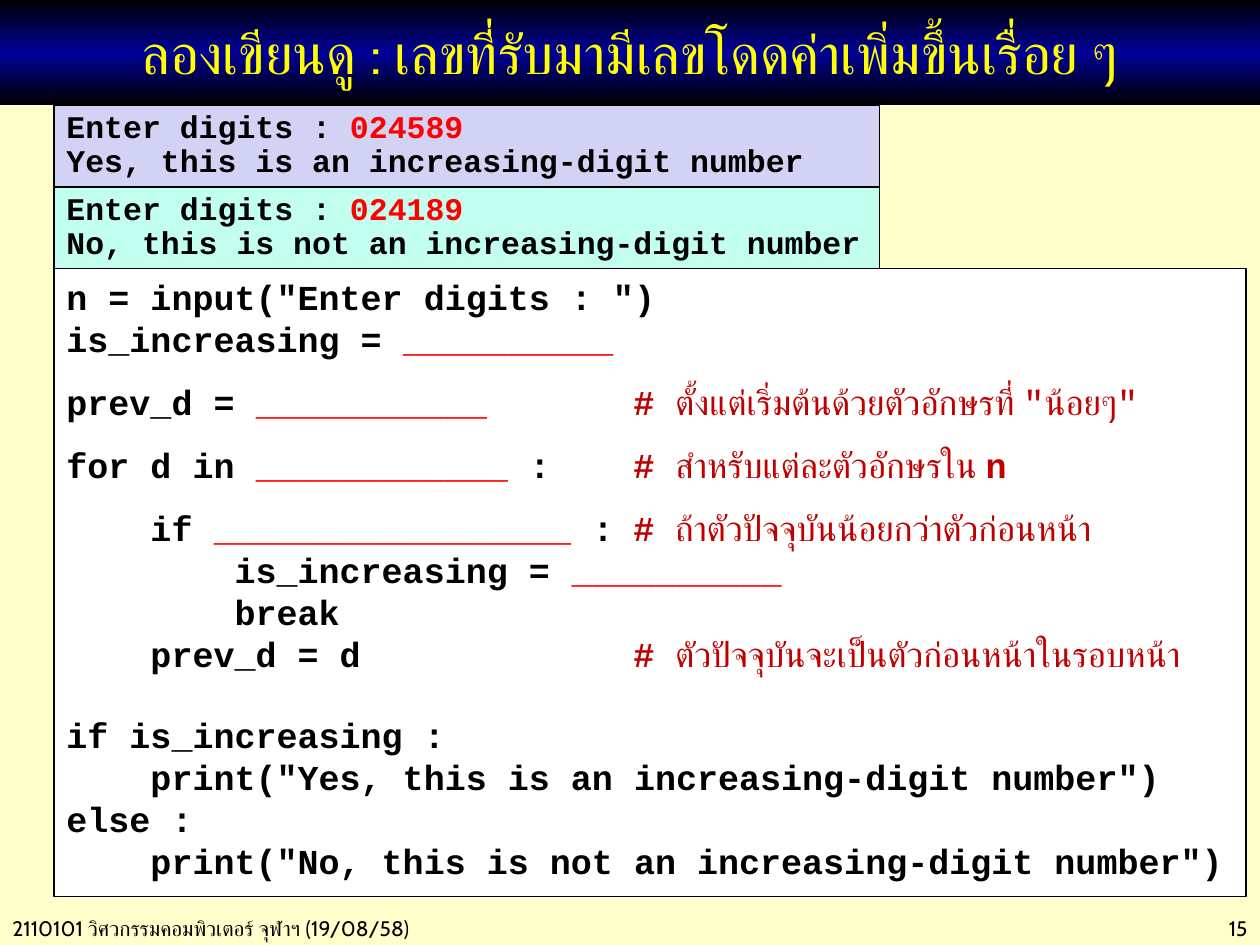
from lxml.etree import SubElement
from pptx import Presentation
from pptx.dml.color import RGBColor
from pptx.enum.shapes import MSO_SHAPE as Shape
from pptx.enum.text import MSO_ANCHOR as Anchor, PP_ALIGN as Align
from pptx.oxml.ns import qn
from pptx.util import Cm, Pt

COLORS = {
    "page": "FFFFCC", "navy": "000099", "title": "FFFF00", "ink": "000000",
    "blank": "FF0000", "comment": "C00000", "yes": "D2D2F4", "no": "C2FFF0",
    "code": "FFFFFF",
}
CODE_FONT, TEXT_FONT = "Courier New", "Cabin"
COMMENT_TAB = Cm(11.43)

SAMPLES = [
    ("yes", "024589", "Yes, this is an increasing-digit number"),
    ("no", "024189", "No, this is not an increasing-digit number"),
]


def code(text):
    return text, "ink", True


def gap(length):
    return "_" * length, "blank", True


def comment(text):
    return [("\t# ", "comment", True), (text, "comment", False)]


PROGRAM = [
    (1, 0, [code('n = input("Enter digits : ")')]),
    (1, 0, [code("is_increasing = "), gap(10)]),
    (1.5, 0, [code("prev_d = "), gap(11), *comment('ตั้งแต่เริ่มต้นด้วยตัวอักษรที่ "น้อยๆ"')]),
    (1.5, 0, [code("for d in "), gap(12), code(" :"),
              *comment("สำหรับแต่ละตัวอักษรใน "), ("n", "comment", True)]),
    (1.5, 0, [code("    if "), gap(17), code(" :"), *comment("ถ้าตัวปัจจุบันน้อยกว่าตัวก่อนหน้า")]),
    (1, 0, [code("        is_increasing = "), gap(10)]),
    (1, 0, [code("        break")]),
    (1, 0, [code("    prev_d = d"), *comment("ตัวปัจจุบันจะเป็นตัวก่อนหน้าในรอบหน้า")]),
    (1, 22.6, [code("if is_increasing :")]),
    (1, 0, [code('    print("Yes, this is an increasing-digit number")')]),
    (1, 0, [code("else :")]),
    (1, 0, [code('    print("No, this is not an increasing-digit number")')]),
]


def color(name):
    return RGBColor.from_string(COLORS[name])


def add_span(para, text, size, font, ink, bold=False):
    span = para.add_run()
    span.text = text
    span.font.size = Pt(size)
    span.font.name = font
    span.font.bold = bold
    span.font.color.rgb = color(ink)


def add_title(page, left, top, width, height, text):
    box = page.shapes.add_shape(Shape.RECTANGLE, left, top, width, height)
    box.shadow.inherit = False
    box.line.fill.background()
    box.fill.gradient()
    box.fill.gradient_angle = 90
    stops = box._element.spPr.find(".//" + qn("a:gsLst"))
    for stop in list(stops):
        stops.remove(stop)
    for position, name in ((0, "ink"), (50000, "navy"), (100000, "ink")):
        stop = SubElement(stops, qn("a:gs"), pos=str(position))
        SubElement(stop, qn("a:srgbClr"), val=COLORS[name])
    frame = box.text_frame
    frame.word_wrap = True
    frame.vertical_anchor = Anchor.MIDDLE
    para = frame.paragraphs[0]
    para.alignment = Align.CENTER
    add_span(para, text, 32, TEXT_FONT, "title")


def add_code_panel(page, left, top, width, height, fill, size, lines):
    box = page.shapes.add_shape(Shape.RECTANGLE, left, top, width, height)
    box.shadow.inherit = False
    box.fill.solid()
    box.fill.fore_color.rgb = color(fill)
    box.line.color.rgb = color("ink")
    box.line.width = Pt(0.75)
    frame = box.text_frame
    frame.word_wrap = True
    frame.vertical_anchor = Anchor.TOP
    for index, (spacing, before, spans) in enumerate(lines):
        para = frame.add_paragraph() if index else frame.paragraphs[0]
        if any("\t" in text for text, _, _ in spans):
            tabs = SubElement(para._p.get_or_add_pPr(), qn("a:tabLst"))
            SubElement(tabs, qn("a:tab"), pos=str(COMMENT_TAB), algn="l")
        para.alignment = Align.LEFT
        para.line_spacing = spacing
        if before:
            para.space_before = Pt(before)
        for text, ink, bold in spans:
            add_span(para, text, size, CODE_FONT, ink, bold)


def add_samples(page, left, top, width, height):
    row = height // len(SAMPLES)
    for index, (fill, digits, answer) in enumerate(SAMPLES):
        lines = [
            (0.9, 0, [code("Enter digits : "), (digits, "blank", True)]),
            (0.9, 0, [code(answer)]),
        ]
        add_code_panel(page, left, top + index * row, width, row, fill, 18, lines)


def add_footer(page, left, top, width, height, note, number):
    number_width = Cm(3.5)
    parts = [
        (left, Cm(9.9), Align.LEFT, note),
        (left + width - number_width, number_width, Align.RIGHT, number),
    ]
    for part_left, part_width, align, text in parts:
        box = page.shapes.add_textbox(part_left, top, part_width, height)
        box.text_frame.word_wrap = True
        para = box.text_frame.paragraphs[0]
        para.alignment = align
        add_span(para, text, 12, TEXT_FONT, "ink")


def main():
    deck = Presentation()
    deck.slide_width, deck.slide_height = Cm(25.4), Cm(19.05)
    page = deck.slides.add_slide(deck.slide_layouts[6])
    page.background.fill.solid()
    page.background.fill.fore_color.rgb = color("page")
    add_footer(page, 0, Cm(18.34), deck.slide_width, Cm(0.76),
               "2110101 วิศวกรรมคอมพิวเตอร์ จุฬาฯ (19/08/58)", "15")
    add_title(page, 0, 0, deck.slide_width, Cm(2.11),
              "ลองเขียนดู : เลขที่รับมามีเลขโดดค่าเพิ่มขึ้นเรื่อย ๆ")
    add_samples(page, Cm(1.09), Cm(2.12), Cm(16.64), Cm(3.3))
    add_code_panel(page, Cm(1.09), Cm(5.42), Cm(24.03), Cm(12.65), "code", 20, PROGRAM)
    deck.save("out.pptx")


if __name__ == "__main__":
    main()
